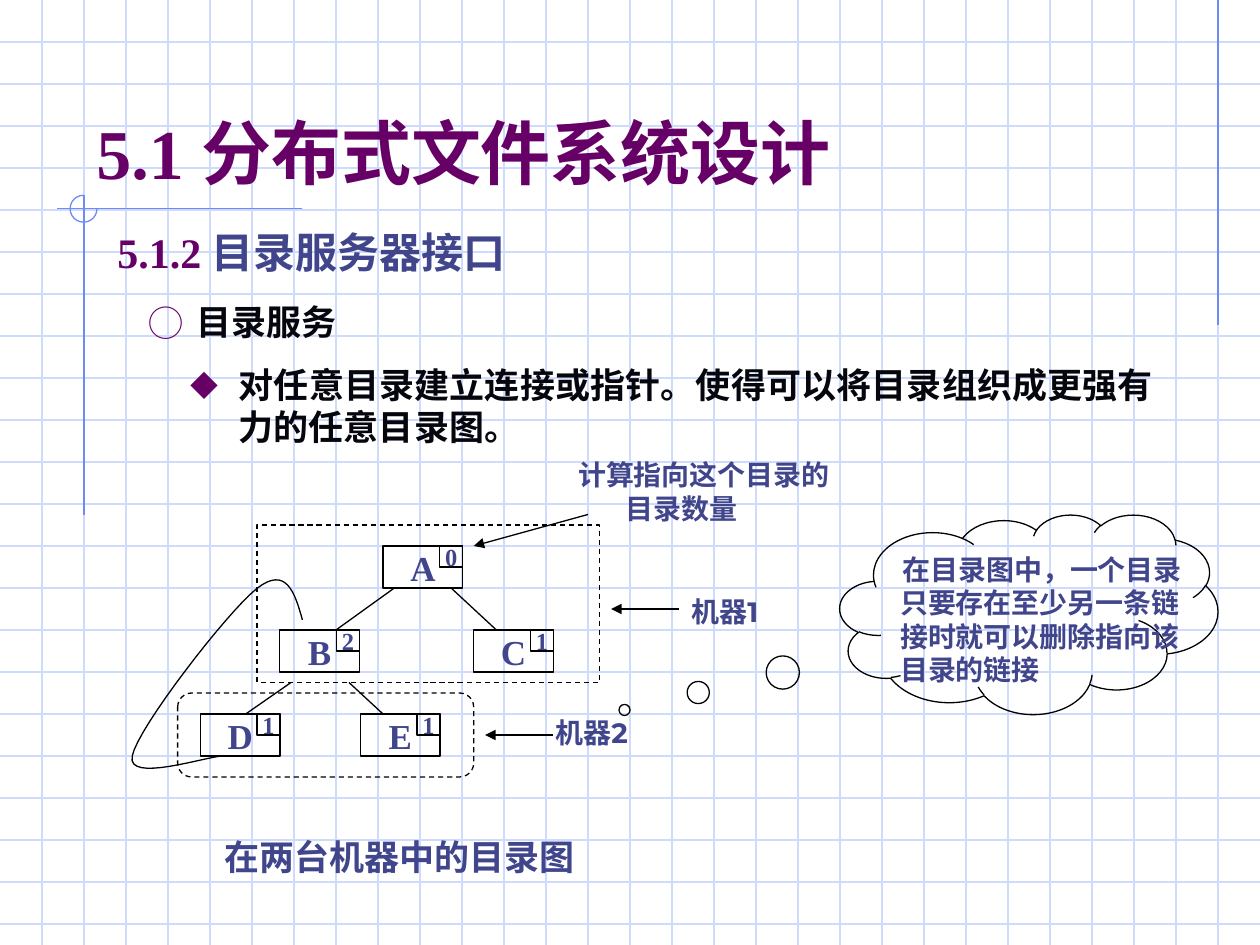
import lxml.etree
import pptx
import pptx.dml.color
import pptx.enum.dml
import pptx.enum.shapes
import pptx.enum.text
import pptx.oxml.ns
import pptx.util

THEME = {
    "grid": "CFDBFD", "accent": "6F89F7", "ink": "000000",
    "plum": "660066", "slate": "40458C", "body": "06070E",
    "serif": "Times New Roman", "sans": "Montserrat", "cjk": "Noto Sans CJK SC",
    "title": 40, "heading": 24, "text": 20, "label": 16, "count": 14, "line": 0.75,
    "bullets": {"◯": "100000", "◆": "80000"},
}
COLUMNS, ROWS = 30, 22.5
SHAPES = pptx.enum.shapes.MSO_SHAPE
ALIGN = pptx.enum.text.PP_ALIGN
ANCHOR = pptx.enum.text.MSO_ANCHOR
color = pptx.dml.color.RGBColor.from_string
qn = pptx.oxml.ns.qn

deck = pptx.Presentation()
deck.slide_width = pptx.util.Inches(10)
deck.slide_height = pptx.util.Inches(7.5)
cell = deck.slide_width / COLUMNS
slide = deck.slides.add_slide(deck.slide_layouts[6])
shapes = slide.shapes


def draw_line(ends, ink, arrow=False):
    link = shapes.add_connector(
        pptx.enum.shapes.MSO_CONNECTOR.STRAIGHT, *[round(v * cell) for v in ends])
    link.line.color.rgb = color(THEME[ink])
    link.line.width = pptx.util.Pt(THEME["line"])
    if arrow:
        lxml.etree.SubElement(link.line._get_or_add_ln(), qn("a:tailEnd"), type="triangle")
    lxml.etree.SubElement(link._element.spPr, qn("a:effectLst"))


def write(holder, text, size, ink, face="sans", align=ALIGN.LEFT,
          anchor=ANCHOR.TOP, indent=None, bullet=None, wrap=True):
    frame = holder.text_frame
    frame.word_wrap = wrap
    frame.vertical_anchor = anchor
    paragraph = frame.paragraphs[0]
    paragraph.alignment = align
    props = paragraph._p.get_or_add_pPr()
    if indent is not None:
        props.set("marL", str(pptx.util.Inches(0.38)))
        props.set("indent", str(pptx.util.Inches(indent)))
    if bullet:
        tint = lxml.etree.SubElement(props, qn("a:buClr"))
        lxml.etree.SubElement(tint, qn("a:srgbClr"), val=THEME["plum"])
        lxml.etree.SubElement(props, qn("a:buSzPct"), val=THEME["bullets"][bullet])
        lxml.etree.SubElement(props, qn("a:buFont"), typeface=THEME["cjk"])
        lxml.etree.SubElement(props, qn("a:buChar"), char=bullet)
    font = paragraph.font
    font.size = pptx.util.Pt(THEME[size])
    font.bold = True
    font.color.rgb = color(THEME[ink])
    font.name = THEME[face]
    lxml.etree.SubElement(font._element, qn("a:ea"), typeface=THEME["cjk"])
    paragraph.add_run().text = text
    return paragraph


for row in range(1, 23):
    draw_line((0, row, COLUMNS, row), "grid")
for column in range(1, COLUMNS):
    draw_line((column, 0, column, ROWS), "grid")
for rule in [(29, 0, 29, 7.75), (7.2, 4.97, 1.35, 4.97), (2, 4.65, 2, 12.27)]:
    draw_line(rule, "accent")

outlines = [
    (SHAPES.ARC, (1.67, 4.65, 0.64, 0.64), "accent", False, (0, 162)),
    (SHAPES.FLOWCHART_ALTERNATE_PROCESS, (4.23, 16.5, 7.05, 2), "ink", True, ()),
    (SHAPES.RECTANGLE, (6.12, 12.5, 8.16, 3.75), "ink", True, ()),
    (SHAPES.CLOUD_CALLOUT, (20, 12.25, 9, 4.75), "ink", False, (-1.07, 0.48)),
]
directories = [("A", "0", 9.12, 13), ("B", "2", 6.66, 15), ("C", "1", 11.28, 15),
               ("D", "1", 4.77, 17), ("E", "1", 8.58, 17)]
labels = []
for name, count, left, top in directories:
    for text, size, place in [(name, "text", (left, top, 1.9, 1)),
                              (count, "count", (left + 1.35, top, 0.55, 0.5))]:
        labels.append((len(outlines), text, size))
        outlines.append((SHAPES.RECTANGLE, place, "ink", False, ()))

drawn = []
for kind, place, ink, dashed, adjustments in outlines:
    outline = shapes.add_shape(kind, *[round(v * cell) for v in place])
    outline.shadow.inherit = False
    outline.fill.background()
    outline.line.color.rgb = color(THEME[ink])
    outline.line.width = pptx.util.Pt(THEME["line"])
    if dashed:
        outline.line.dash_style = pptx.enum.dml.MSO_LINE.DASH
    for index, value in enumerate(adjustments):
        outline.adjustments[index] = value
    drawn.append(outline)

for index, text, size in labels:
    frame = drawn[index].text_frame
    frame.margin_left = frame.margin_right = frame.margin_top = frame.margin_bottom = 0
    write(drawn[index], text, size, "slate", "serif", ALIGN.CENTER, ANCHOR.MIDDLE, wrap=False)

for branch in [(9.39, 14, 8, 15), (10.74, 14, 11.82, 15),
               (6.93, 16.25, 5.85, 17), (8.31, 16.25, 9.12, 17)]:
    draw_line(branch, "ink")
for pointer in [(14, 12.25, 11.28, 13), (16.17, 14.5, 14.55, 14.5), (13.17, 17.5, 11.55, 17.5)]:
    draw_line(pointer, "ink", arrow=True)

bends = [(7.2, 14.76), (7.02, 14.1), (6.81, 13.47), (6.12, 14.01), (5.43, 14.55),
         (3.27, 17.34), (3.15, 18), (3, 18.66), (4.95, 18), (5.31, 18)]
STEPS = 16
backlink_points = []
for start in range(0, len(bends) - 1, 3):
    for step in range(1, STEPS + 1):
        t = step / STEPS
        weights = ((1 - t) ** 3, 3 * t * (1 - t) ** 2, 3 * t ** 2 * (1 - t), t ** 3)
        backlink_points.append(tuple(
            cell * sum(w * bend[axis] for w, bend in zip(weights, bends[start:start + 4]))
            for axis in (0, 1)))
pen = shapes.build_freeform(*[round(v * cell) for v in bends[0]])
pen.add_line_segments(backlink_points, close=False)
backlink = pen.convert_to_shape()
backlink.shadow.inherit = False
backlink.fill.background()
backlink.line.color.rgb = color(THEME["ink"])
backlink.line.width = pptx.util.Pt(THEME["line"])

passages = [
    ((2, 1, 25.5, 3.75), "5.1 分布式文件系统设计", "title", "plum",
     {"face": "serif", "anchor": ANCHOR.BOTTOM}),
    ((2.5, 5.25, 26.25, 1.5), "5.1.2 ", "heading", "plum", {"face": "serif"}),
    ((3.25, 7, 24.75, 1.32), "目录服务", "text", "body",
     {"align": ALIGN.JUSTIFY, "indent": -0.38, "bullet": "◯"}),
    ((4.25, 8.5, 23.5, 2.5), "对任意目录建立连接或指针。使得可以将目录组织成更强有力的任意目录图。",
     "text", "body", {"align": ALIGN.JUSTIFY, "indent": -0.38, "bullet": "◆"}),
    ((5.04, 19.75, 11.67, 1.32), "在两台机器中的目录图", "text", "slate", {}),
    ((13.47, 10.75, 6.78, 1.92), "计算指向这个目录的目录数量", "label", "slate",
     {"indent": -0.38}),
    ((16.17, 14, 3.27, 1.1), "机器1", "label", "slate", {}),
    ((12.93, 16.88, 3.27, 1.1), "机器2", "label", "slate", {}),
    ((20, 13, 9, 3.5), "在目录图中，一个目录只要存在至少另一条链接时就可以删除指向该目录的链接",
     "label", "slate", {"indent": 0.02}),
]
for place, text, size, ink, options in passages:
    passage = shapes.add_textbox(*[round(v * cell) for v in place])
    paragraph = write(passage, text, size, ink, **options)
    if size == "heading":
        topic = paragraph.add_run()
        topic.text = "目录服务器接口"
        topic.font.color.rgb = color(THEME["slate"])

deck.save("out.pptx")
